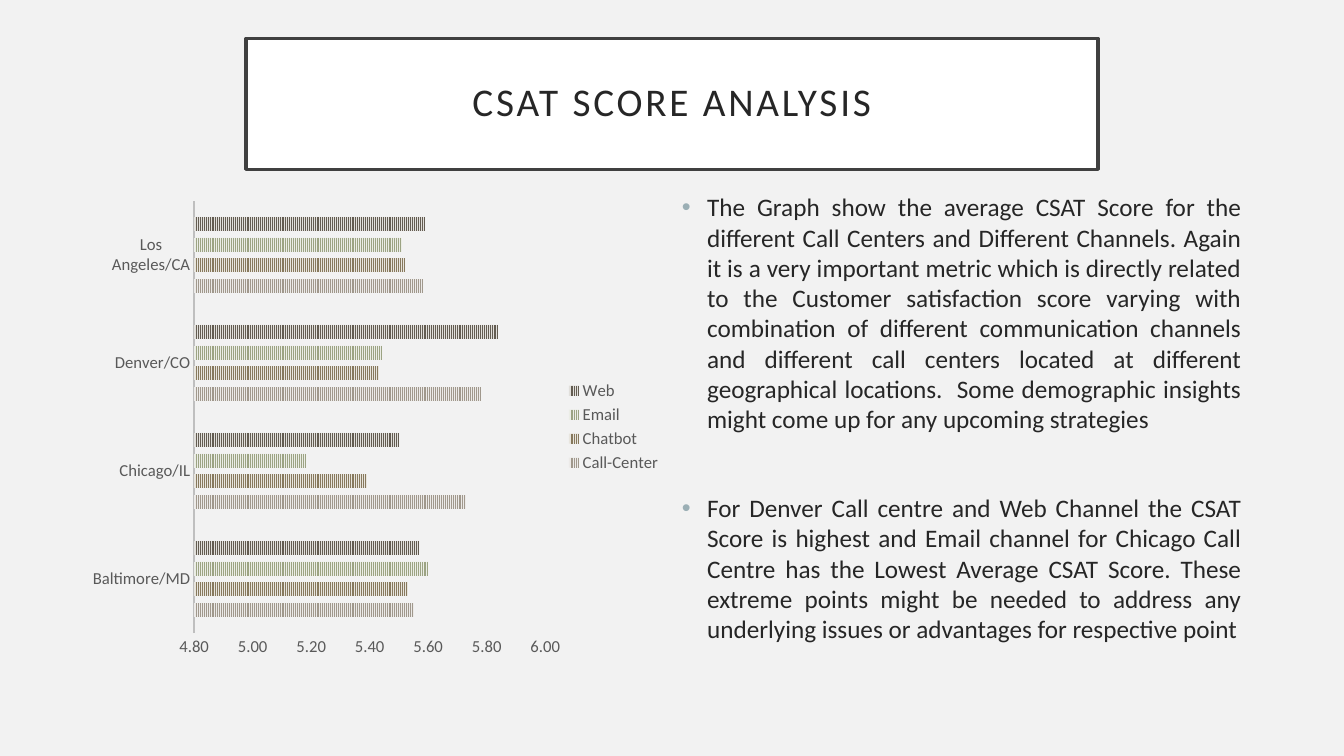
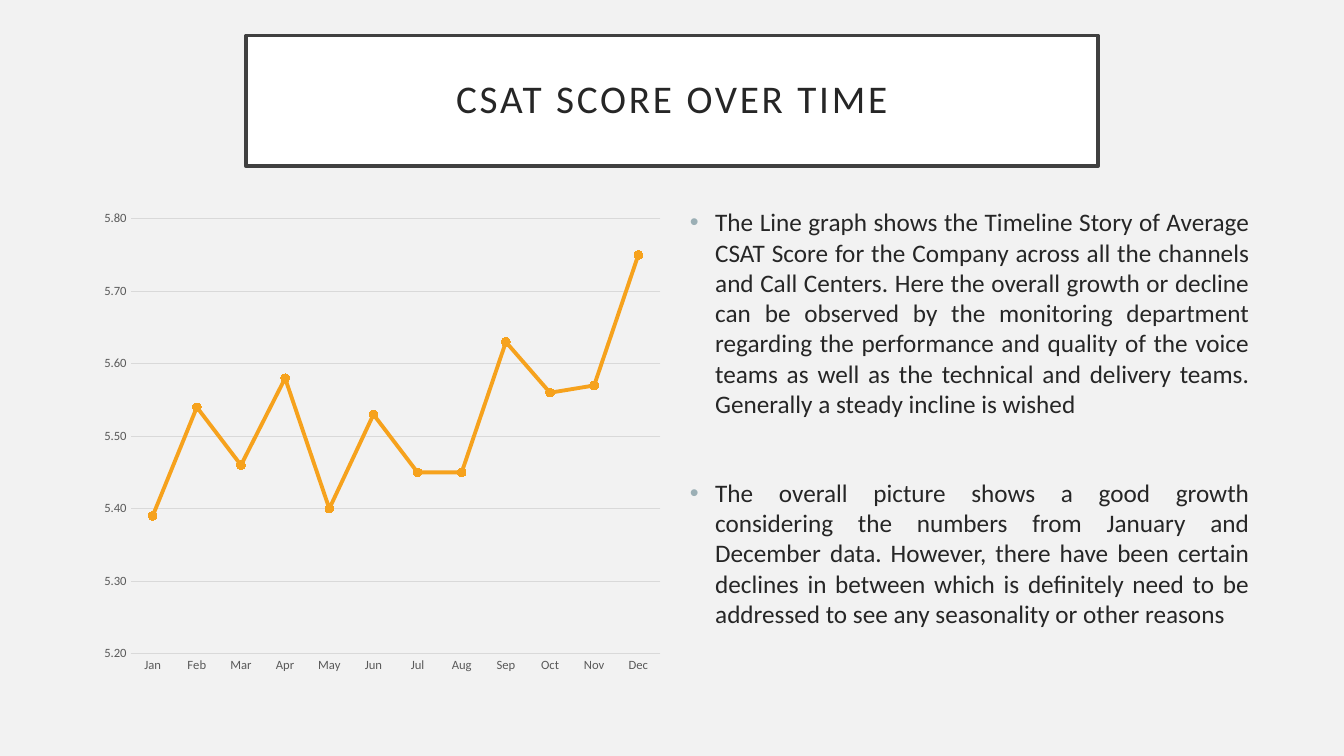
from dataclasses import dataclass

from lxml.etree import SubElement
from pptx import Presentation
from pptx.chart.axis import ValueAxis
from pptx.chart.chart import Chart
from pptx.chart.data import CategoryChartData
from pptx.dml.color import RGBColor
from pptx.enum.chart import XL_CHART_TYPE, XL_LEGEND_POSITION, XL_MARKER_STYLE, XL_TICK_MARK
from pptx.enum.dml import MSO_PATTERN
from pptx.enum.shapes import MSO_SHAPE
from pptx.enum.text import MSO_ANCHOR, PP_ALIGN
from pptx.oxml.ns import qn
from pptx.slide import Slide
from pptx.text.text import Font
from pptx.util import Emu, Inches, Pt

WIDTH, HEIGHT = Inches(13.33), Inches(7.5)
FONT = "Calibri"
COLORS = {
    "back": "F2F2F2", "white": "FFFFFF", "frame": "404040", "text": "262626",
    "bullet": "9BAFB5", "label": "595959", "axis": "BFBFBF", "grid": "D9D9D9",
    "line": "F6A21D", "marker": "F9A31A",
    "call": "A0988C", "call_back": "ECEAE8", "chatbot": "87795D", "chatbot_back": "E8E5DE",
    "email": "9CA383", "email_back": "EBEDE6", "web": "635C51", "web_back": "E1DFDB",
}


@dataclass(frozen=True)
class Box:
    """A rectangle given as shares of the slide's size."""
    x: float
    y: float
    w: float
    h: float

    def emu(self) -> tuple[Emu, Emu, Emu, Emu]:
        """Return left, top, width and height."""
        return (Emu(int(self.x * WIDTH)), Emu(int(self.y * HEIGHT)),
                Emu(int(self.w * WIDTH)), Emu(int(self.h * HEIGHT)))


@dataclass(frozen=True)
class Series:
    """One chart series and the name of its colour."""
    name: str
    values: tuple[float, ...]
    color: str


@dataclass(frozen=True)
class ChartStyle:
    """Label size, category line and value scale of a chart."""
    size: int
    axis_color: str
    axis_width: float
    low: float
    high: float
    step: float


@dataclass(frozen=True)
class Page:
    """Everything that differs between the slides."""
    title: str
    title_y: float
    content_y: float
    body_x: float
    points: tuple[str, ...]
    kind: XL_CHART_TYPE
    style: ChartStyle
    categories: tuple[str, ...]
    series: tuple[Series, ...]


PAGES = (
    Page(
        "CSAT SCORE ANALYSIS", 0.051, 0.247, 0.5,
        ("The Graph show the average CSAT Score for the different Call Centers and Different "
         "Channels. Again it is a very important metric which is directly related to the Customer "
         "satisfaction score varying with combination of different communication channels and "
         "different call centers located at different geographical locations.  Some demographic "
         "insights might come up for any upcoming strategies",
         "For Denver Call centre and Web Channel the CSAT Score is highest and Email channel for "
         "Chicago Call Centre has the Lowest Average CSAT Score. These extreme points might be "
         "needed to address any underlying issues or advantages for respective point"),
        XL_CHART_TYPE.BAR_CLUSTERED, ChartStyle(12, "axis", 1.5, 4.8, 6.0, 0.2),
        ("Baltimore/MD", "Chicago/IL", "Denver/CO", "Los Angeles/CA"),
        (Series("Call-Center", (5.55, 5.73, 5.78, 5.58), "call"),
         Series("Chatbot", (5.53, 5.39, 5.43, 5.52), "chatbot"),
         Series("Email", (5.6, 5.18, 5.44, 5.51), "email"),
         Series("Web", (5.57, 5.5, 5.84, 5.59), "web")),
    ),
    Page(
        "CSAT SCORE OVER TIME", 0.047, 0.267, 0.506,
        ("The Line graph shows the Timeline Story of Average CSAT Score for the Company across all "
         "the channels and Call Centers. Here the overall growth or decline can be observed by the "
         "monitoring department regarding the performance and quality of the voice teams as well as "
         "the technical and delivery teams. Generally a steady incline is wished",
         "The overall picture shows a good growth considering the numbers from January and December "
         "data. However, there have been certain declines in between which is definitely need to be "
         "addressed to see any seasonality or other reasons"),
        XL_CHART_TYPE.LINE_MARKERS, ChartStyle(9, "grid", 1, 5.2, 5.8, 0.1),
        ("Jan", "Feb", "Mar", "Apr", "May", "Jun", "Jul", "Aug", "Sep", "Oct", "Nov", "Dec"),
        (Series("Series 1", (5.39, 5.54, 5.46, 5.58, 5.4, 5.53, 5.45, 5.45, 5.63, 5.56, 5.57, 5.75),
                "line"),),
    ),
)


def rgb(name: str) -> RGBColor:
    """Look up a colour by name."""
    return RGBColor.from_string(COLORS[name])


def set_font(font: Font, size: int, color: str) -> None:
    """Apply the shared typeface with a size and colour."""
    font.name, font.size = FONT, Pt(size)
    font.color.rgb = rgb(color)


def add_title(s: Slide, text: str, box: Box) -> None:
    """Draw the framed title."""
    sp = s.shapes.add_shape(MSO_SHAPE.RECTANGLE, *box.emu())
    sp.shadow.inherit = False
    sp.fill.solid()
    sp.fill.fore_color.rgb = rgb("white")
    sp.line.color.rgb = rgb("frame")
    sp.line.width = Pt(2.5)
    tf = sp.text_frame
    tf.text = text
    tf.word_wrap = True
    tf.vertical_anchor = MSO_ANCHOR.MIDDLE
    tf.margin_left = tf.margin_right = tf.margin_top = tf.margin_bottom = Inches(0.2)
    p = tf.paragraphs[0]
    p.alignment, p.line_spacing = PP_ALIGN.CENTER, 0.9
    r = p.runs[0]
    set_font(r.font, 28, "text")
    r.font._element.set("spc", "200")


def add_points(s: Slide, points: tuple[str, ...], box: Box) -> None:
    """Draw the justified bullet points."""
    tf = s.shapes.add_textbox(*box.emu()).text_frame
    tf.word_wrap = True
    tf.text = "\n".join(points)
    for i, p in enumerate(tf.paragraphs):
        p.alignment = PP_ALIGN.JUSTIFY
        p.space_before = Pt(42 if i else 0)
        set_font(p.runs[0].font, 18, "text")
        pPr = p._p.get_or_add_pPr()
        pPr.set("marL", str(Inches(0.25)))
        pPr.set("indent", str(-Inches(0.25)))
        color = SubElement(pPr, qn("a:buClr"))
        SubElement(color, qn("a:srgbClr"), val=COLORS["bullet"])
        SubElement(pPr, qn("a:buFont"), typeface="Arial")
        SubElement(pPr, qn("a:buChar"), char="•")


def style_axes(chart: Chart, style: ChartStyle) -> ValueAxis:
    """Format both axes and return the value axis."""
    cat, val = chart.category_axis, chart.value_axis
    for axis in (cat, val):
        axis.major_tick_mark = axis.minor_tick_mark = XL_TICK_MARK.NONE
        axis.has_major_gridlines = False
        set_font(axis.tick_labels.font, style.size, "label")
    cat.format.line.color.rgb = rgb(style.axis_color)
    cat.format.line.width = Pt(style.axis_width)
    val.format.line.fill.background()
    val.minimum_scale, val.maximum_scale, val.major_unit = style.low, style.high, style.step
    val.tick_labels.number_format = "0.00"
    val.tick_labels.number_format_is_linked = False
    return val


def set_plot_box(chart: Chart, box: Box) -> None:
    """Fix the inner plot area as shares of the chart."""
    area = chart._chartSpace.chart.plotArea
    for old in area.findall(qn("c:layout")):
        area.remove(old)
    layout = SubElement(area, qn("c:layout"))
    area.insert(0, layout)
    manual = SubElement(layout, qn("c:manualLayout"))
    settings = {"layoutTarget": "inner", "xMode": "edge", "yMode": "edge",
                "x": box.x, "y": box.y, "w": box.w, "h": box.h}
    for tag, value in settings.items():
        SubElement(manual, qn(f"c:{tag}"), val=str(value))


def style_bars(chart: Chart, page: Page) -> None:
    """Format the striped bars and their legend."""
    plot = chart.plots[0]
    plot.gap_width, plot.overlap = 227, -48
    for ser, item in zip(plot.series, page.series):
        fill = ser.format.fill
        fill.patterned()
        fill.pattern = MSO_PATTERN.NARROW_VERTICAL
        fill.fore_color.rgb = rgb(item.color)
        fill.back_color.rgb = rgb(f"{item.color}_back")
    chart.has_legend = True
    chart.legend.position = XL_LEGEND_POSITION.RIGHT
    chart.legend.include_in_layout = False
    set_font(chart.legend.font, page.style.size, "label")
    set_plot_box(chart, Box(0.17, 0.03, 0.61, 0.9))


def style_lines(chart: Chart, page: Page, val: ValueAxis) -> None:
    """Format the marked lines and the gridlines."""
    chart.has_legend = False
    val.has_major_gridlines = True
    val.major_gridlines.format.line.color.rgb = rgb("grid")
    val.major_gridlines.format.line.width = Pt(0.75)
    for ser, item in zip(chart.plots[0].series, page.series):
        ser.smooth = False
        ser.format.line.color.rgb = rgb(item.color)
        ser.format.line.width = Pt(2.75)
        marker = ser.marker
        marker.style, marker.size = XL_MARKER_STYLE.CIRCLE, 6
        marker.format.fill.solid()
        marker.format.fill.fore_color.rgb = rgb("marker")
        marker.format.line.color.rgb = rgb("marker")


def add_score_chart(s: Slide, page: Page, box: Box) -> None:
    """Draw the score chart of a page."""
    data = CategoryChartData(number_format="0.00")
    data.categories = page.categories
    for item in page.series:
        data.add_series(item.name, item.values)
    chart = s.shapes.add_chart(page.kind, *box.emu(), data).chart
    chart.has_title = False
    chart.font.name, chart.font.size = FONT, Pt(10)
    chart.plots[0].vary_by_categories = False
    val = style_axes(chart, page.style)
    if page.kind == XL_CHART_TYPE.BAR_CLUSTERED:
        style_bars(chart, page)
    else:
        style_lines(chart, page, val)


def main() -> None:
    """Build and save the presentation."""
    prs = Presentation()
    prs.slide_width, prs.slide_height = WIDTH, HEIGHT
    back = prs.slide_master.background.fill
    back.solid()
    back.fore_color.rgb = rgb("back")
    for page in PAGES:
        s = prs.slides.add_slide(prs.slide_layouts[6])
        add_title(s, page.title, Box(0.183, page.title_y, 0.634, 0.173))
        add_points(s, page.points, Box(page.body_x, page.content_y, 0.431, 0.635))
        add_score_chart(s, page, Box(0.069, page.content_y, 0.431, 0.635))
    prs.save("out.pptx")


if __name__ == "__main__":
    main()
